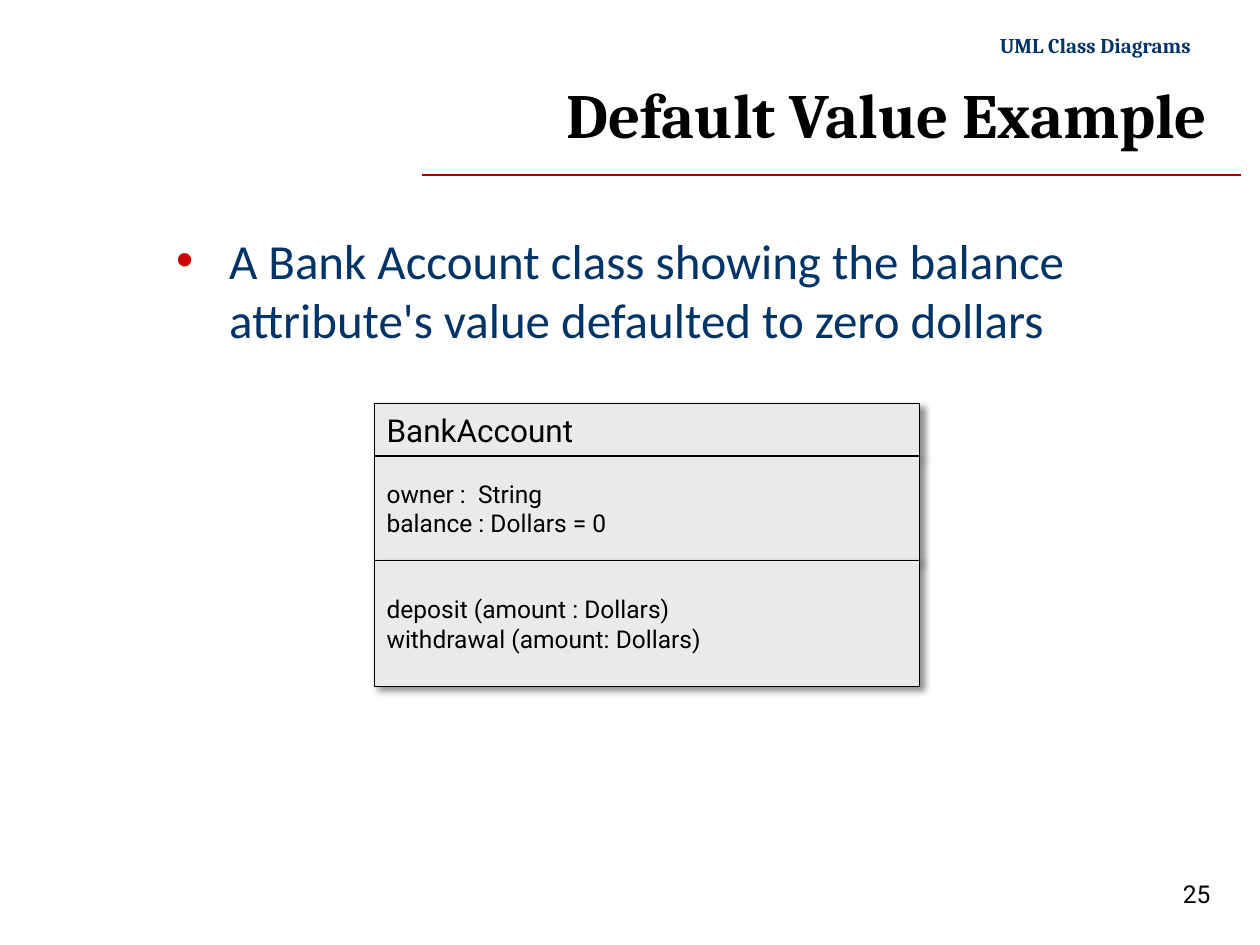
from lxml.etree import SubElement
from pptx import Presentation
from pptx.dml.color import RGBColor
from pptx.enum.shapes import MSO_CONNECTOR, MSO_SHAPE
from pptx.enum.text import MSO_ANCHOR, PP_ALIGN
from pptx.oxml.ns import qn
from pptx.util import Inches, Pt

BLACK = RGBColor(0x00, 0x00, 0x00)
NAVY = RGBColor(0x00, 0x33, 0x66)
RULE_RED = RGBColor(0xA8, 0x00, 0x00)
BULLET_RED = RGBColor(0xCC, 0x00, 0x00)
BOX_GRAY = RGBColor(0xEA, 0xEA, 0xEA)

HEADER = {"name": "Cambria", "size": Pt(12), "bold": True}
TITLE = {"name": "Cambria", "size": Pt(36), "bold": True}
BODY = {"name": "Calibri", "size": Pt(28)}
CLASS_NAME = {"name": "Roboto", "size": Pt(18)}
MEMBER = {"name": "Roboto", "size": Pt(14)}


class SlideBuilder:
    def __init__(self, slide):
        self.slide = slide
        self.line_width = Pt(0.75)

    def fill_text(self, shape, lines, font_format, color=BLACK, align=PP_ALIGN.LEFT,
                  anchor=MSO_ANCHOR.TOP, wrap=True):
        frame = shape.text_frame
        frame.word_wrap = wrap
        frame.vertical_anchor = anchor
        frame.text = "\n".join(lines)
        for paragraph in frame.paragraphs:
            paragraph.alignment = align
            for run in paragraph.runs:
                run.font.color.rgb = color
                for attribute, value in font_format.items():
                    setattr(run.font, attribute, value)

    def text(self, left, top, width, height, text, font_format, **layout):
        shape = self.slide.shapes.add_textbox(
            Inches(left), Inches(top), Inches(width), Inches(height))
        self.fill_text(shape, [text], font_format, **layout)
        return shape

    def bullet(self, left, top, width, height, text, font_format, **layout):
        shape = self.text(left, top, width, height, text, font_format, **layout)
        properties = shape.text_frame.paragraphs[0]._p.get_or_add_pPr()
        properties.set("marL", str(Inches(0.42)))
        properties.set("indent", str(-Inches(0.42)))
        color = SubElement(properties, qn("a:buClr"))
        SubElement(color, qn("a:srgbClr"), val=str(BULLET_RED))
        SubElement(properties, qn("a:buFont"), typeface="Arial")
        SubElement(properties, qn("a:buChar"), char="•")

    def rule(self, left, right, y):
        line = self.slide.shapes.add_connector(
            MSO_CONNECTOR.STRAIGHT, Inches(left), Inches(y), Inches(right), Inches(y))
        line.line.color.rgb = RULE_RED
        line.line.width = self.line_width
        SubElement(line._element.spPr, qn("a:effectLst"))

    def compartment(self, left, top, width, height, lines, font_format):
        shape = self.slide.shapes.add_shape(
            MSO_SHAPE.RECTANGLE, Inches(left), Inches(top), Inches(width), Inches(height))
        shape.fill.solid()
        shape.fill.fore_color.rgb = BOX_GRAY
        shape.line.color.rgb = BLACK
        shape.line.width = self.line_width
        self.drop_shadow(shape)
        self.fill_text(shape, lines, font_format, anchor=MSO_ANCHOR.MIDDLE)

    def drop_shadow(self, shape):
        shape.shadow.inherit = False
        effects = shape._element.spPr.find(qn("a:effectLst"))
        shadow = SubElement(effects, qn("a:outerShdw"), blurRad=str(Pt(4)),
                            dist=str(Pt(3)), dir=str(45 * 60000),
                            algn="tl", rotWithShape="0")
        color = SubElement(shadow, qn("a:srgbClr"), val=str(BLACK))
        SubElement(color, qn("a:alpha"), val="43000")

    def class_box(self, left, top, width, compartments):
        """Stack compartments given as (height, lines, font format)."""
        for height, lines, font_format in compartments:
            self.compartment(left, top, width, height, lines, font_format)
            top += height


def main():
    presentation = Presentation()
    presentation.slide_width = Inches(10)
    presentation.slide_height = Inches(7.5)
    builder = SlideBuilder(presentation.slides.add_slide(presentation.slide_layouts[6]))

    builder.rule(3.35, 9.85, 1.39)
    builder.text(7.8, 0.21, 1.75, 0.3, "UML Class Diagrams", HEADER,
                 color=NAVY, align=PP_ALIGN.RIGHT, wrap=False)
    builder.text(9.29, 6.93, 0.71, 0.34, "25", MEMBER)
    builder.text(2.01, 0.52, 7.67, 0.75, "Default Value Example", TITLE,
                 align=PP_ALIGN.RIGHT, anchor=MSO_ANCHOR.MIDDLE)
    builder.bullet(1.3, 1.78, 7.67, 1.83,
                   "A Bank Account class showing the balance "
                   "attribute's value defaulted to zero dollars", BODY, color=NAVY)
    builder.class_box(2.97, 3.2, 4.33, [
        (0.42, ["BankAccount"], CLASS_NAME),
        (0.83, ["owner :  String", "balance : Dollars = 0"], MEMBER),
        (1, ["deposit (amount : Dollars)", "withdrawal (amount: Dollars)"], MEMBER),
    ])
    presentation.save("out.pptx")


if __name__ == "__main__":
    main()
